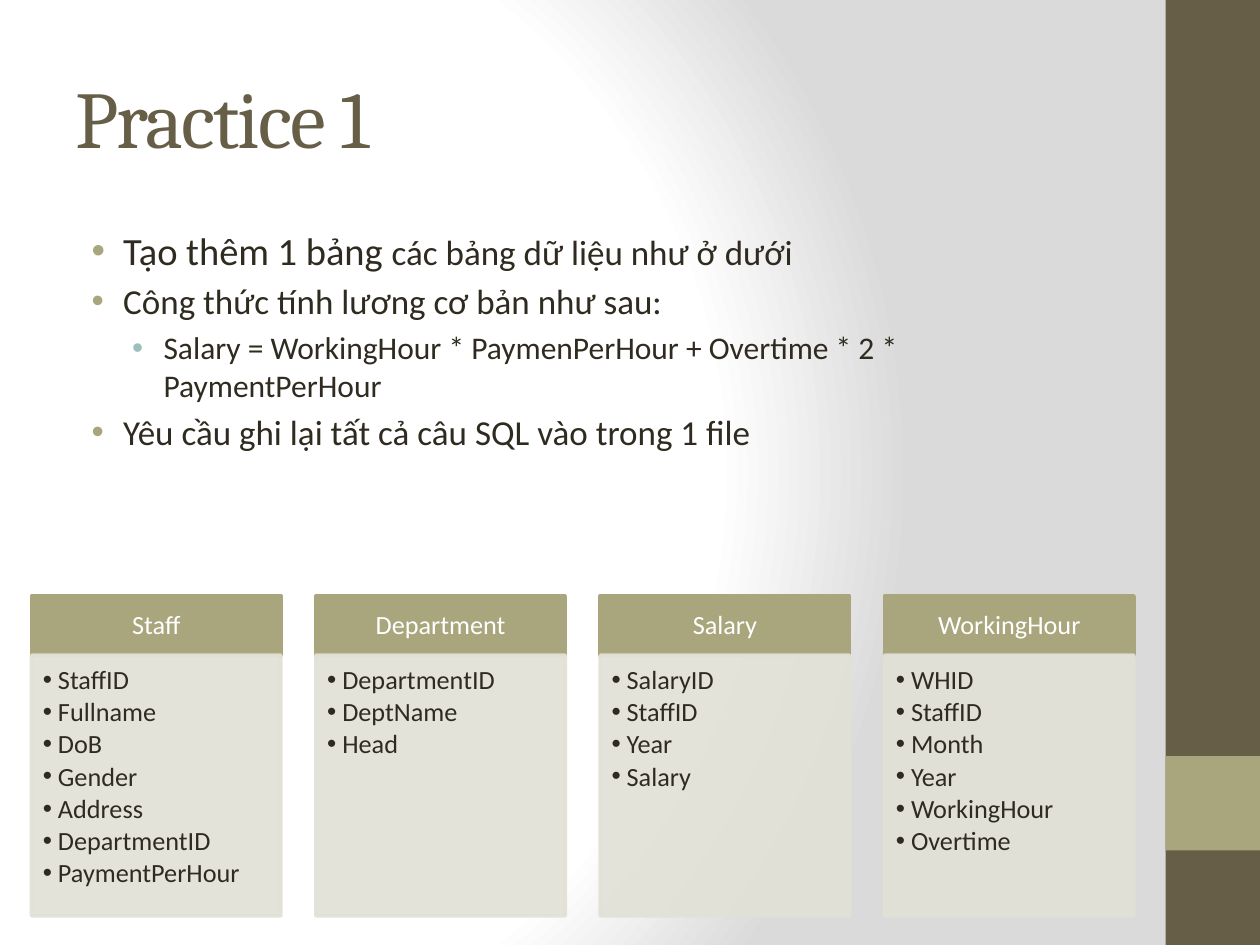
from dataclasses import dataclass

from lxml import etree
from pptx import Presentation
from pptx.dml.color import RGBColor
from pptx.enum.shapes import MSO_SHAPE
from pptx.enum.text import MSO_ANCHOR, PP_ALIGN
from pptx.oxml.ns import qn
from pptx.util import Inches, Pt

RECTANGLE = MSO_SHAPE.RECTANGLE
TOP, MIDDLE = MSO_ANCHOR.TOP, MSO_ANCHOR.MIDDLE
LEFT, CENTER = PP_ALIGN.LEFT, PP_ALIGN.CENTER

BROWN = RGBColor(0x67, 0x5E, 0x47)
OLIVE = RGBColor(0xA9, 0xA5, 0x7C)
TEAL = RGBColor(0x9C, 0xBE, 0xBD)
STONE = RGBColor(0xE2, 0xE1, 0xD7)
INK = RGBColor(0x2F, 0x2B, 0x20)
WHITE = RGBColor(0xFF, 0xFF, 0xFF)
GREY = RGBColor(0xDA, 0xDA, 0xDA)

# Slide and table-card grid, in inches
WIDTH, HEIGHT = 10, 7.5
BAND_LEFT, BAND_WIDTH = 9.25, 0.75
CARD_LEFT, CARD_RIGHT, CARD_WIDTH = 0.25, 9.0, 1.98
HEAD_TOP, HEAD_HEIGHT, LIST_HEIGHT = 4.73, 0.47, 2.07


@dataclass(frozen=True)
class Span:
    text: str
    size: float
    color: RGBColor = INK
    font: str = "Calibri"


@dataclass(frozen=True)
class Para:
    spans: tuple[Span, ...]
    level: int = 0
    indent: float = 0
    hanging: float = 0
    bullet: RGBColor | None = None
    before: int = 0
    after: int = 0
    line_spacing: float | None = None
    align: PP_ALIGN = LEFT


@dataclass(frozen=True)
class Card:
    name: str
    fields: tuple[str, ...]


CARDS = (
    Card("Staff", ("StaffID", "Fullname", "DoB", "Gender", "Address",
                   "DepartmentID", "PaymentPerHour")),
    Card("Department", ("DepartmentID", "DeptName", "Head")),
    Card("Salary", ("SalaryID", "StaffID", "Year", "Salary")),
    Card("WorkingHour", ("WHID", "StaffID", "Month", "Year", "WorkingHour", "Overtime")),
)


def add_color(parent, color: RGBColor):
    return etree.SubElement(parent, qn("a:srgbClr"), val=str(color))


def set_background(page) -> None:
    page.background.fill.gradient()
    gradient = page.element.find(".//" + qn("a:gradFill"))
    for child in list(gradient):
        gradient.remove(child)
    stops = etree.SubElement(gradient, qn("a:gsLst"))
    for share, color in ((0, WHITE), (75, WHITE), (100, GREY)):
        add_color(etree.SubElement(stops, qn("a:gs"), pos=str(share * 1000)), color)
    circle = etree.SubElement(gradient, qn("a:path"))
    circle.set("path", "circle")
    etree.SubElement(circle, qn("a:fillToRect"), l="20000", t="50000", r="100000", b="50000")


def add_block(page, left: float, top: float, width: float, height: float,
              fill: RGBColor, outlined: bool = False, opacity: int = 100):
    block = page.shapes.add_shape(
        RECTANGLE, Inches(left), Inches(top), Inches(width), Inches(height))
    block.shadow.inherit = False
    block.fill.solid()
    block.fill.fore_color.rgb = fill
    if outlined:
        block.line.color.rgb = fill
        block.line.width = Pt(2)
    else:
        block.line.fill.background()
    if opacity < 100:
        for color in block.element.spPr.iter(qn("a:srgbClr")):
            etree.SubElement(color, qn("a:alpha"), val=str(opacity * 1000))
    return block


def write(box, paras: list[Para], anchor: MSO_ANCHOR = TOP,
          insets: tuple[float, ...] = (0.1, 0.05, 0.1, 0.05)) -> None:
    frame = box.text_frame
    sides = ("margin_left", "margin_top", "margin_right", "margin_bottom")
    settings = {"word_wrap": True, "vertical_anchor": anchor,
                **dict(zip(sides, map(Inches, insets)))}
    for name, value in settings.items():
        setattr(frame, name, value)
    for number, para in enumerate(paras):
        line = frame.add_paragraph() if number else frame.paragraphs[0]
        for name in ("level", "line_spacing"):
            setattr(line, name, getattr(para, name))
        line.alignment = para.align
        format_para(line._p.get_or_add_pPr(), para)
        for span in para.spans:
            run = line.add_run()
            run.text = span.text
            for name, value in {"name": span.font, "size": Pt(span.size)}.items():
                setattr(run.font, name, value)
            run.font.color.rgb = span.color


def format_para(properties, para: Para) -> None:
    properties.set("marL", str(Inches(para.indent)))
    properties.set("indent", str(Inches(-para.hanging)))
    for tag, percent in (("a:spcBef", para.before), ("a:spcAft", para.after)):
        spacing = etree.SubElement(properties, qn(tag))
        etree.SubElement(spacing, qn("a:spcPct"), val=str(percent * 1000))
    if para.bullet is not None:
        add_color(etree.SubElement(properties, qn("a:buClr")), para.bullet)
        etree.SubElement(properties, qn("a:buFont"), typeface="Arial")
        etree.SubElement(properties, qn("a:buChar"), char="•")


def add_text(page, left: float, top: float, width: float, height: float,
             paras: list[Para], anchor: MSO_ANCHOR = TOP):
    box = page.shapes.add_textbox(Inches(left), Inches(top), Inches(width), Inches(height))
    write(box, paras, anchor)
    return box


def point(*spans: Span, level: int = 0) -> Para:
    return Para(spans, level, indent=(0.38, 0.7)[level], hanging=0.25,
                bullet=(OLIVE, TEAL)[level], before=20)


def add_card(page, left: float, card: Card) -> None:
    head = add_block(page, left, HEAD_TOP, CARD_WIDTH, HEAD_HEIGHT, OLIVE, outlined=True)
    write(head, [Para((Span(card.name, 15, WHITE),), after=35, line_spacing=0.9,
                      align=CENTER)], MIDDLE, (0.12, 0.07, 0.12, 0.07))
    listing = add_block(page, left, HEAD_TOP + HEAD_HEIGHT, CARD_WIDTH, LIST_HEIGHT,
                        STONE, outlined=True, opacity=90)
    write(listing, [Para((Span(field, 15),), level=1, indent=0.12, hanging=0.12, bullet=INK,
                         after=15, line_spacing=0.9) for field in card.fields],
          TOP, (0.09, 0.09, 0.12, 0.13))


deck = Presentation()
deck.slide_width, deck.slide_height = Inches(WIDTH), Inches(HEIGHT)
page = deck.slides.add_slide(deck.slide_layouts[6])
set_background(page)

# Side band
add_block(page, BAND_LEFT, 0, BAND_WIDTH, HEIGHT, BROWN)
add_block(page, BAND_LEFT, 6, BAND_WIDTH, BAND_WIDTH, OLIVE)

# Title
title = add_text(page, 0.5, 0.3, 8.33, 1.25,
                 [Para((Span("Practice 1", 46, BROWN, "Cambria"),))], MIDDLE)
title.text_frame.paragraphs[0].runs[0].font._element.set("spc", "-100")

# Task description
add_text(page, 0.5, 1.75, 8.33, 5.25, [
    point(Span("Tạo thêm 1 bảng ", 22), Span("các bảng dữ liệu như ở dưới", 20)),
    point(Span("Công thức tính lương cơ bản như sau:", 20)),
    point(Span("Salary = WorkingHour * PaymenPerHour + Overtime * 2 * PaymentPerHour", 18),
          level=1),
    point(Span("Yêu cầu ghi lại tất cả câu SQL vào trong 1 file", 20)),
])

# Database tables
pitch = (CARD_RIGHT - CARD_LEFT - CARD_WIDTH) / (len(CARDS) - 1)
for column, card in enumerate(CARDS):
    add_card(page, CARD_LEFT + column * pitch, card)

deck.save("out.pptx")
